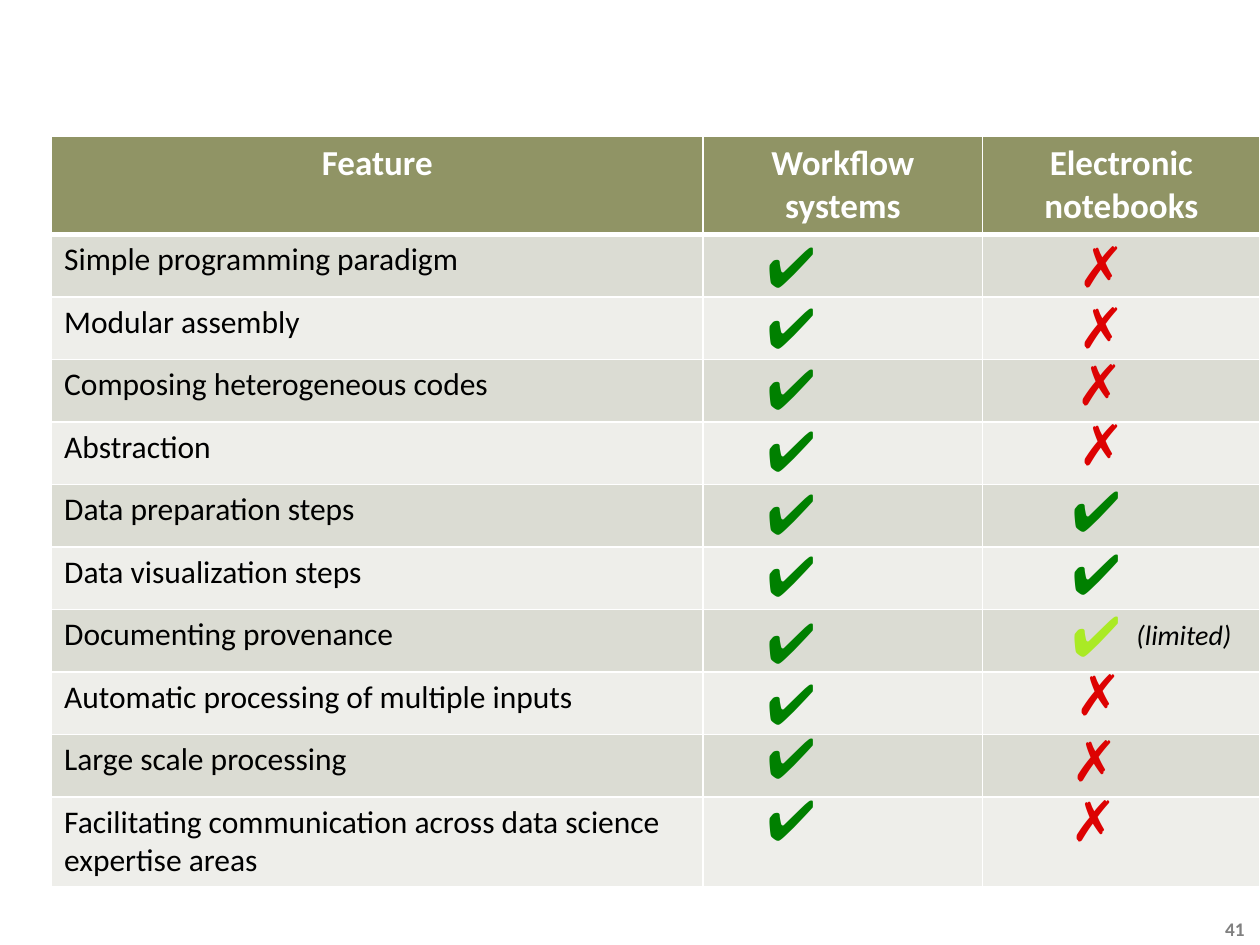
from lxml.etree import SubElement
from pptx import Presentation
from pptx.dml.color import RGBColor
from pptx.enum.text import MSO_ANCHOR, MSO_AUTO_SIZE, PP_ALIGN
from pptx.oxml import parse_xml
from pptx.oxml.ns import nsdecls, qn
from pptx.util import Cm, Pt

HEADINGS = ["Feature", "Workflow systems", "Electronic notebooks"]
COLUMN_WIDTHS = [13.13, 5.64, 5.59]
HEADER_HEIGHT, ROW_HEIGHT, LAST_HEIGHT = 1.96, 1.26, 1.8
WORKFLOW_LEFT = 14.17

YES, NO, PARTLY = ("✔", "008000"), ("✗", "DD0202"), ("✔", "AAEA25")
MARK_WIDTHS = {"✔": 1.47, "✗": 1.22}

# Feature, top of workflow mark, notebook mark, its left and top (cm from the table corner)
FEATURES = [
    ("Simple programming paradigm", 1.81, NO, 20.45, 1.81),
    ("Modular assembly", 3.03, NO, 20.45, 3.03),
    ("Composing heterogeneous codes", 4.27, NO, 20.42, 4.19),
    ("Abstraction", 5.52, NO, 20.45, 5.39),
    ("Data preparation steps", 6.79, YES, 20.32, 6.73),
    ("Data visualization steps", 8.03, YES, 20.32, 8.0),
    ("Documenting provenance", 9.38, PARTLY, 20.32, 9.25),
    ("Automatic processing of multiple inputs", 10.62, NO, 20.4, 10.44),
    ("Large scale processing", 11.71, NO, 20.32, 11.76),
    ("Facilitating communication across data science expertise areas",
     12.96, NO, 20.3, 12.98),
]


def color(hex_string):
    return RGBColor.from_string(hex_string)


def set_font(paragraph, size, hex_string, name="Calibri", bold=False, italic=False):
    font = paragraph.font
    font.name, font.size, font.bold, font.italic = name, Pt(size), bold, italic
    font.color.rgb = color(hex_string)


def add_label(slide, left, top, width, height, text, size, hex_string, **style):
    label = slide.shapes.add_textbox(Cm(left), Cm(top), Cm(width), Cm(height))
    frame = label.text_frame
    frame.word_wrap = False
    frame.auto_size = MSO_AUTO_SIZE.SHAPE_TO_FIT_TEXT
    frame.text = text
    set_font(frame.paragraphs[0], size, hex_string, **style)
    return frame


def set_borders(cell, top=1, bottom=1):
    properties = cell._tc.get_or_add_tcPr()
    sides = [("lnL", 1), ("lnR", 1), ("lnT", top), ("lnB", bottom)]
    for position, (side, points) in enumerate(sides):
        line = parse_xml(f'<a:{side} {nsdecls("a")} w="{Pt(points)}"/>')
        fill = SubElement(line, qn("a:solidFill"))
        SubElement(fill, qn("a:srgbClr"), val="FFFFFF")
        properties.insert(position, line)


def fill_cell(cell, text, fill, size, hex_string, bold, align):
    cell.fill.solid()
    cell.fill.fore_color.rgb = color(fill)
    cell.text = text
    paragraph = cell.text_frame.paragraphs[0]
    paragraph.alignment = align
    set_font(paragraph, size, hex_string, bold=bold)


def add_feature_table(slide, left, top):
    heights = [HEADER_HEIGHT] + [ROW_HEIGHT] * (len(FEATURES) - 1) + [LAST_HEIGHT]
    table = slide.shapes.add_table(
        len(heights), len(HEADINGS), Cm(left), Cm(top),
        Cm(sum(COLUMN_WIDTHS)), Cm(sum(heights))).table
    for column, width in zip(table.columns, COLUMN_WIDTHS):
        column.width = Cm(width)
    for row, height in zip(table.rows, heights):
        row.height = Cm(height)

    # Header row
    for cell, heading in zip(table.rows[0].cells, HEADINGS):
        fill_cell(cell, heading, "909465", 20, "FFFFFF", True, PP_ALIGN.CENTER)
        set_borders(cell, bottom=3)

    # Banded feature rows
    for index, (feature, *_) in enumerate(FEATURES):
        band = "EEEEEA" if index % 2 else "DBDCD3"
        for cell, text in zip(table.rows[index + 1].cells, [feature, "", ""]):
            fill_cell(cell, text, band, 18, "000000", False, PP_ALIGN.LEFT)
            set_borders(cell, top=1 if index else 3)


def add_marks(slide, left, top):
    for _, workflow_top, notebook_mark, notebook_left, notebook_top in FEATURES:
        for (symbol, hex_string), x, y in [
                (YES, WORKFLOW_LEFT, workflow_top),
                (notebook_mark, notebook_left, notebook_top)]:
            add_label(slide, left + x, top + y, MARK_WIDTHS[symbol], 1.62,
                      symbol, 32, hex_string, name="Arial", bold=True)
    # Remark beside the partial mark
    add_label(slide, left + 21.62, top + 9.58, 2.57, 0.94,
              "(limited)", 16, "000000", italic=True)


def add_page_number(slide, left, top):
    frame = add_label(slide, left, top, 1.47, 1.02, "41", 11, "808080", bold=True)
    frame.auto_size = MSO_AUTO_SIZE.NONE
    frame.word_wrap = True
    frame.vertical_anchor = MSO_ANCHOR.MIDDLE
    frame.paragraphs[0].alignment = PP_ALIGN.CENTER


def main():
    presentation = Presentation()
    presentation.slide_width, presentation.slide_height = Cm(25.4), Cm(19.05)
    slide = presentation.slides.add_slide(presentation.slide_layouts[6])
    add_page_number(slide, 24.16, 18.21)
    add_feature_table(slide, 1.04, 2.74)
    add_marks(slide, 1.04, 2.74)
    presentation.save("out.pptx")


if __name__ == "__main__":
    main()
